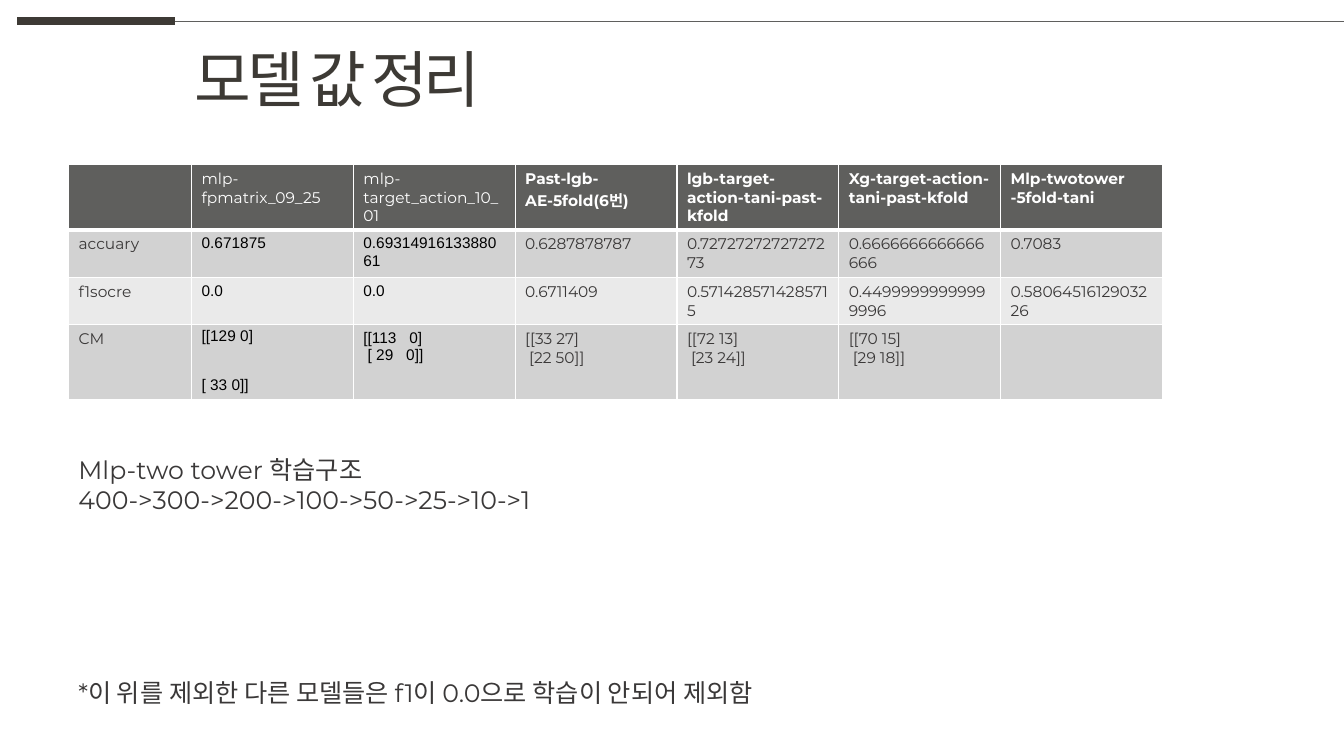
from lxml import etree
from pptx import Presentation
from pptx import util as u
from pptx.dml.color import RGBColor
from pptx.enum import shapes, text
from pptx.oxml.ns import qn

HUES = {"dark": "3D3A35", "gray": "5F5F5D", "ink": "3A3838", "black": "000000",
        "white": "FFFFFF", "band": "D2D2D2", "pale": "EAEAEA"}
ROWS = [
    ["", "mlp-fpmatrix_09_25", "mlp-target_action_10_01", "Past-lgb-AE-5fold(6번)",
     "lgb-target-action-tani-past-kfold", "Xg-target-action-tani-past-kfold",
     "Mlp-twotower\n-5fold-tani"],
    ["accuary", "0.671875", "0.6931491613388061", "0.6287878787",
     "0.7272727272727273", "0.6666666666666666", "0.7083"],
    ["f1socre", "0.0", "0.0", "0.6711409", "0.5714285714285715",
     "0.44999999999999996", "0.5806451612903226"],
    ["CM", "[[129 0]\n[ 33 0]]", "[[113   0]\n [ 29   0]]", "[[33 27]\n [22 50]]",
     "[[72 13]\n [23 24]]", "[[70 15]\n [29 18]]", ""],
]
WIDE = [1.22] + [1.605] * 6
HIGH = [0.64, 0.47, 0.47, 0.74]
FILLS = ["gray", "band", "pale", "band"]


class Deck:
    """Holds the style and the current slide, and draws each kind of element."""

    def __init__(self):
        """Open a wide deck with one titled slide."""
        self.prs = Presentation()
        self.prs.slide_width = u.Inches(13.33)
        self.prs.slide_height = u.Inches(7.5)
        self.slide = self.prs.slides.add_slide(self.prs.slide_layouts[5])
        self.base = {"name": "Montserrat", "size": u.Pt(18), "bold": False}

    def hue(self, key):
        """Return the named colour."""
        return RGBColor.from_string(HUES[key])

    def letter(self, frame, words, tint="ink", **form):
        """Fill a text frame, one paragraph a line."""
        for i, line in enumerate(words.split("\n")):
            para = frame.add_paragraph() if i else frame.paragraphs[0]
            para.alignment = text.PP_ALIGN.LEFT
            run = para.add_run()
            run.text = line
            for key, val in {**self.base, **form}.items():
                setattr(run.font, key, val)
            run.font.color.rgb = self.hue(tint)

    def place(self, shape, box):
        """Move a shape to a box in inches."""
        for key, val in zip(("left", "top", "width", "height"), box):
            setattr(shape, key, u.Inches(val))

    def title(self, words, box):
        """Set the slide title."""
        shape = self.slide.shapes.title
        self.place(shape, box)
        frame = shape.text_frame
        form = {"word_wrap": False, "vertical_anchor": text.MSO_ANCHOR.TOP,
                "auto_size": text.MSO_AUTO_SIZE.SHAPE_TO_FIT_TEXT}
        for key, val in form.items():
            setattr(frame, key, val)
        self.letter(frame, words, "dark", size=u.Pt(44))
        run = frame.paragraphs[0].runs[0]
        run._r.get_or_add_rPr().set("spc", "-300")

    def note(self, words, box):
        """Add a wrapped text box."""
        frame = self.slide.shapes.add_textbox(*map(u.Inches, box)).text_frame
        frame.word_wrap = True
        frame.auto_size = text.MSO_AUTO_SIZE.SHAPE_TO_FIT_TEXT
        self.letter(frame, words)

    def rule(self, start, end, top, tint, width):
        """Add a level line."""
        ends = map(u.Inches, (start, top, end, top))
        line = self.slide.shapes.add_connector(shapes.MSO_CONNECTOR.STRAIGHT, *ends)
        line.line.color.rgb = self.hue(tint)
        line.line.width = u.Pt(width)
        etree.SubElement(line._element.spPr, qn("a:effectLst"))

    def edge(self, cell, head):
        """Draw white borders on a cell, thicker under the header."""
        props = cell._tc.get_or_add_tcPr()
        for i, side in enumerate("LRTB"):
            width = u.Pt(3 if head and side == "B" else 1)
            line = etree.Element(qn(f"a:ln{side}"), w=str(int(width)))
            fill = etree.SubElement(line, qn("a:solidFill"))
            etree.SubElement(fill, qn("a:srgbClr"), val=HUES["white"])
            props.insert(i, line)

    def table(self, rows, left, top):
        """Add the table of model scores."""
        box = map(u.Inches, (left, top, sum(WIDE), sum(HIGH)))
        grid = self.slide.shapes.add_table(len(rows), len(WIDE), *box).table
        for col, wide in zip(grid.columns, WIDE):
            col.width = u.Inches(wide)
        for r, row in enumerate(rows):
            grid.rows[r].height = u.Inches(HIGH[r])
            for c, words in enumerate(row):
                cell = grid.cell(r, c)
                cell.fill.solid()
                cell.fill.fore_color.rgb = self.hue(FILLS[r])
                self.edge(cell, r == 0)
                form = {"size": u.Pt(11)}
                tint = "ink"
                if r == 0:
                    tint, form["bold"] = "white", c > 2
                elif c in (1, 2):
                    tint, form["name"] = "black", "Arial"
                if words:
                    self.letter(cell.text_frame, words, tint, **form)
        first, last = grid.cell(3, 1).text_frame.paragraphs
        first.space_after = last.space_before = u.Pt(12)
        first.line_spacing = last.line_spacing = u.Pt(11)


def main():
    """Build and save the slide."""
    deck = Deck()
    deck.rule(0.17, 1.74, 0.21, "dark", 6)
    deck.title("모델 값 정리", (1.83, 0.36, 3.33, 0.84))
    deck.rule(1.74, 13.33, 0.21, "gray", 0.5)
    deck.table(ROWS, 0.68, 1.63)
    deck.note("*이 위를 제외한 다른 모델들은 f1이 0.0으로 학습이 안되어 제외함",
              (0.68, 6.67, 8.73, 0.4))
    deck.note("Mlp-two tower 학습구조\n400->300->200->100->50->25->10->1",
              (0.68, 4.46, 9.86, 0.71))
    deck.prs.save("out.pptx")


if __name__ == "__main__":
    main()
